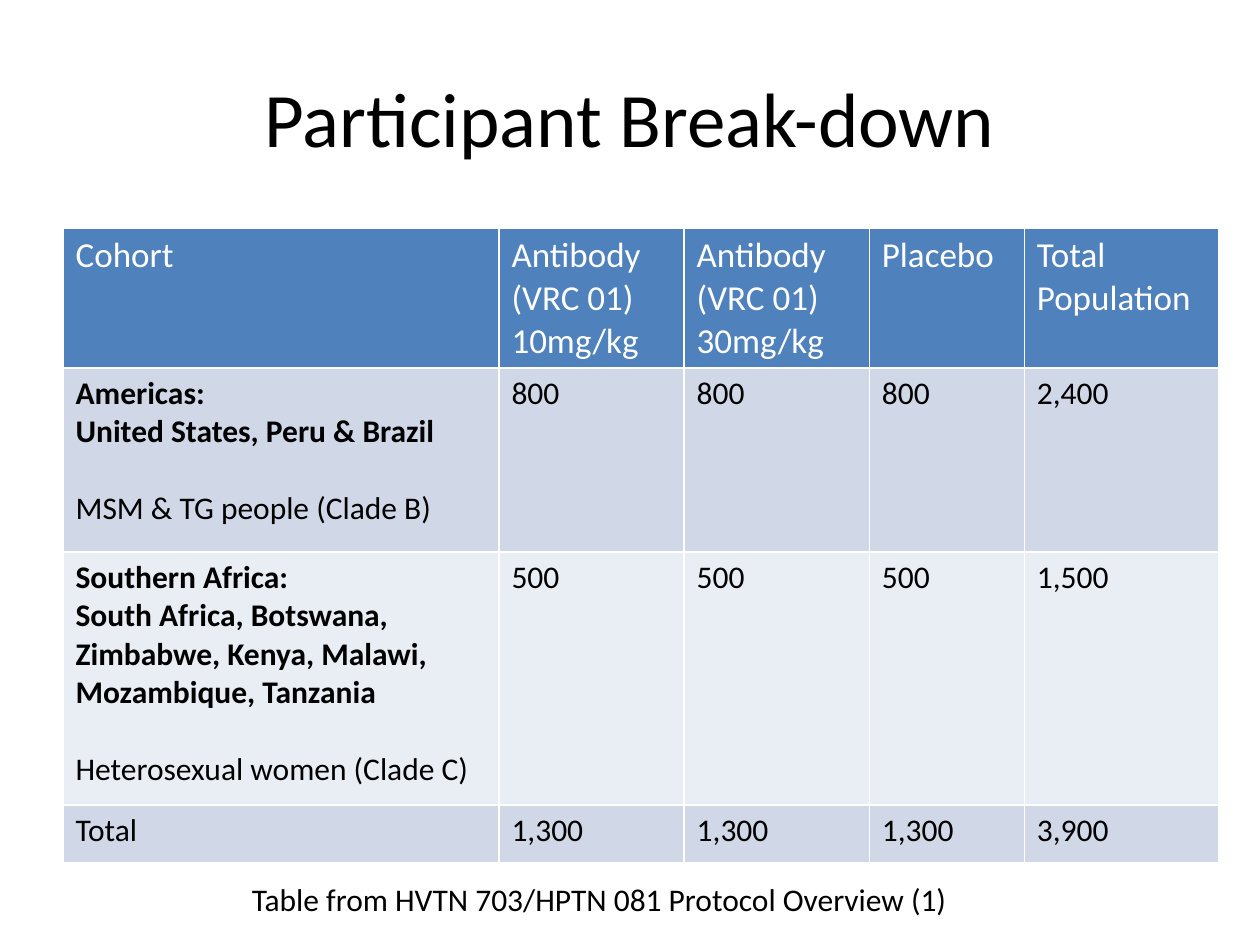
from pptx import Presentation
from pptx.dml.color import RGBColor
from pptx.enum.text import MSO_ANCHOR, PP_ALIGN
from pptx.util import Inches, Pt

LEFT, CENTER = PP_ALIGN.LEFT, PP_ALIGN.CENTER
TOP, MIDDLE = MSO_ANCHOR.TOP, MSO_ANCHOR.MIDDLE
COLORS = {"black": "000000", "white": "FFFFFF", "header": "4F81BD",
          "band_dark": "D0D8E8", "band_light": "E9EDF4"}
FONT = "Calibri"
BODY_SIZE = 18
BLANK_LINE = 1.22 * BODY_SIZE

presentation = Presentation()
presentation.slide_width, presentation.slide_height = Inches(10), Inches(7.5)
WIDTH, HEIGHT = presentation.slide_width, presentation.slide_height
slide = presentation.slides.add_slide(presentation.slide_layouts[6])


def write(text_frame, text, size=BODY_SIZE, color="black", bold_lines=0,
          gap_before=None, align=LEFT):
    """Write one paragraph per line; the first bold_lines are bold."""
    text_frame.word_wrap = True
    for index, line in enumerate(text.split("\n")):
        paragraph = text_frame.add_paragraph() if index else text_frame.paragraphs[0]
        paragraph.alignment = align
        if index == gap_before:
            paragraph.space_before = Pt(BLANK_LINE)
        run = paragraph.add_run()
        run.text = line
        run.font.name = FONT
        run.font.size = Pt(size)
        run.font.bold = index < bold_lines
        run.font.color.rgb = RGBColor.from_string(COLORS[color])


def add_text(left, top, width, height, text, anchor=TOP, **text_format):
    """Add a text box placed by shares of the slide's size."""
    box = slide.shapes.add_textbox(int(left * WIDTH), int(top * HEIGHT),
                                   int(width * WIDTH), int(height * HEIGHT))
    box.text_frame.vertical_anchor = anchor
    write(box.text_frame, text, **text_format)


# Title
add_text(0.05, 0.04, 0.9, 1 / 6, "Participant Break-down",
         anchor=MIDDLE, size=44, align=CENTER)

# Participant table
header = ["Cohort", "Antibody (VRC 01)\n10mg/kg", "Antibody (VRC 01)\n30mg/kg",
          "Placebo", "Total Population"]
cohorts = [
    ["Americas:\nUnited States, Peru & Brazil\nMSM & TG people (Clade B)",
     "800", "800", "800", "2,400"],
    ["Southern Africa:\nSouth Africa, Botswana, Zimbabwe, Kenya, Malawi, "
     "Mozambique, Tanzania\nHeterosexual women (Clade C)",
     "500", "500", "500", "1,500"],
    ["Total", "1,300", "1,300", "1,300", "3,900"],
]
rows = [header] + cohorts
column_widths = [3.46, 1.47, 1.47, 1.23, 1.54]
row_heights = [1.11, 1.46, 2.01, 0.46]
row_fills = ["header", "band_dark", "band_light", "band_dark"]

table = slide.shapes.add_table(
    len(rows), len(header), Inches(0.5), Inches(1.81),
    Inches(sum(column_widths)), Inches(sum(row_heights))).table
for column, width in zip(table.columns, column_widths):
    column.width = Inches(width)
for row, height in zip(table.rows, row_heights):
    row.height = Inches(height)

for row_index, (texts, fill) in enumerate(zip(rows, row_fills)):
    for column_index, text in enumerate(texts):
        cell = table.cell(row_index, column_index)
        cell.fill.solid()
        cell.fill.fore_color.rgb = RGBColor.from_string(COLORS[fill])
        if row_index == 0:
            write(cell.text_frame, text, size=20, color="white")
        elif "\n" in text:
            write(cell.text_frame, text, bold_lines=2, gap_before=2)
        else:
            write(cell.text_frame, text)

# Source note
add_text(0.19, 0.925, 0.65, 0.05,
         "Table from HVTN 703/HPTN 081 Protocol Overview (1)")

presentation.save("out.pptx")
